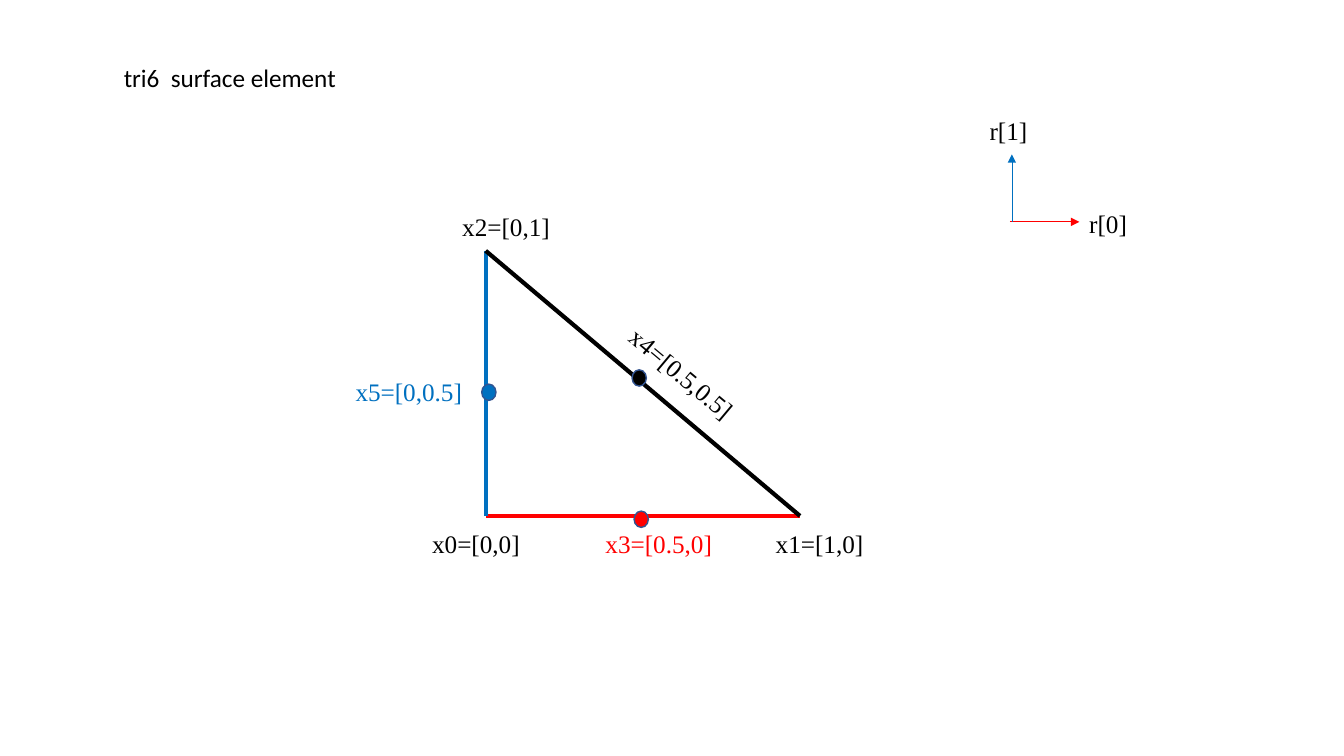
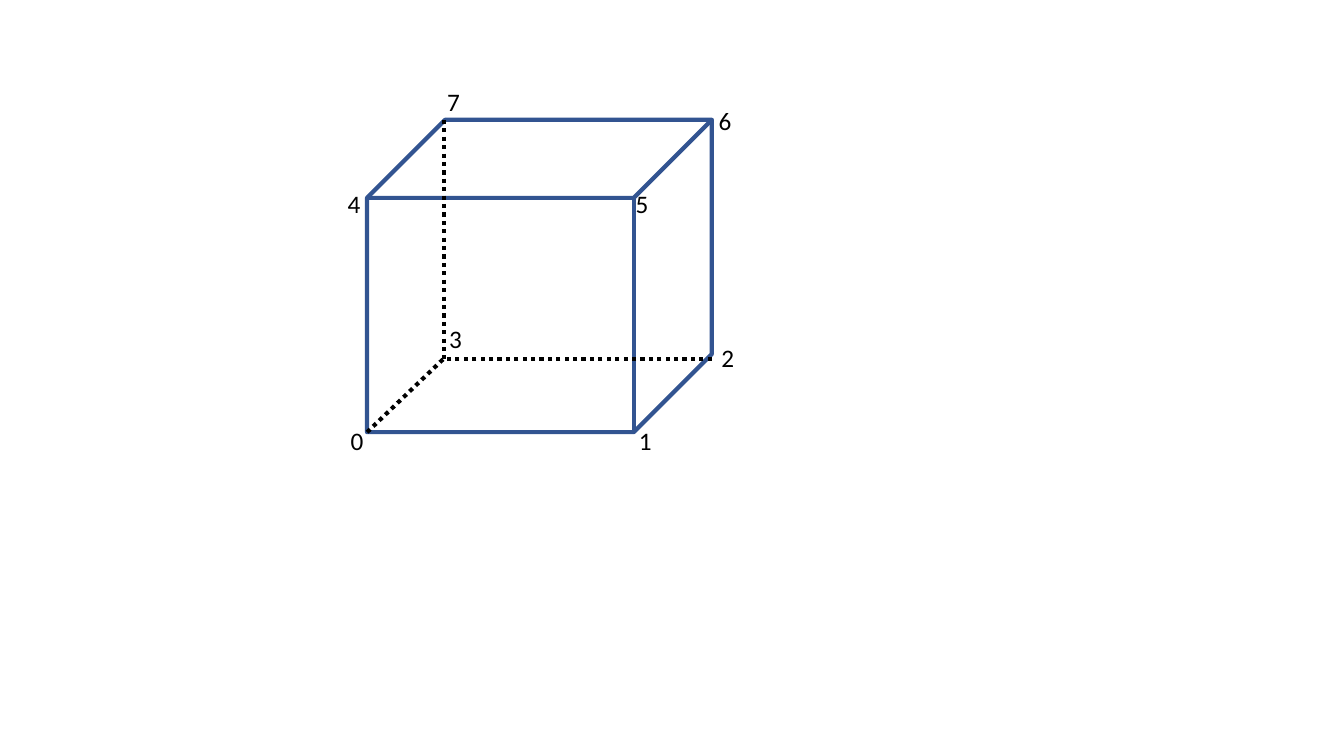
from collections import namedtuple

from lxml.etree import SubElement
from pptx import Presentation
from pptx.dml.color import RGBColor
from pptx.enum.dml import MSO_LINE
from pptx.enum.shapes import MSO_CONNECTOR, MSO_SHAPE
from pptx.enum.text import MSO_AUTO_SIZE
from pptx.oxml.ns import qn
from pptx.util import Cm, Pt

Box = namedtuple("Box", "left top width height")

BLACK, RED, BLUE, OUTLINE = "000000", "FF0000", "0070C0", "325491"
SANS, SERIF = "Calibri", "Times New Roman"
TEXT_HEIGHT = 1.02
DOT_WIDTH, DOT_HEIGHT = 0.36, 0.41
THICK, THIN = 3, 0.5


def colour(value):
    return RGBColor.from_string(value)


def set_format(target, values):
    for name, value in values.items():
        setattr(target, name, value)


def add_label(page, text, left, top, width, font=SERIF, tint=BLACK, rotation=0):
    label = page.shapes.add_textbox(Cm(left), Cm(top), Cm(width), Cm(TEXT_HEIGHT))
    label.rotation = rotation
    frame = label.text_frame
    set_format(frame, {"word_wrap": False, "auto_size": MSO_AUTO_SIZE.SHAPE_TO_FIT_TEXT})
    span = frame.paragraphs[0].add_run()
    span.text = text
    set_format(span.font, {"name": font, "size": Pt(18)})
    span.font.color.rgb = colour(tint)


def add_line(page, start, end, tint, weight=THICK, dash=None, arrow=False):
    points = [Cm(value) for value in (*start, *end)]
    connector = page.shapes.add_connector(MSO_CONNECTOR.STRAIGHT, *points)
    set_format(connector.line, {"width": Pt(weight), "dash_style": dash})
    connector.line.color.rgb = colour(tint)
    if arrow:
        SubElement(connector.line._get_or_add_ln(), qn("a:tailEnd"), type="triangle")
    SubElement(connector._element.spPr, qn("a:effectLst"))


def add_outlined(page, kind, box, weight, fill=None):
    shape = page.shapes.add_shape(kind, *(Cm(value) for value in box))
    shape.shadow.inherit = False
    if fill:
        shape.fill.solid()
        shape.fill.fore_color.rgb = colour(fill)
    else:
        shape.fill.background()
    shape.line.color.rgb = colour(OUTLINE)
    shape.line.width = Pt(weight)


def draw_triangle(page, box):
    left, top, width, height = box
    origin, right, apex = (left, top + height), (left + width, top + height), (left, top)
    for start, end, tint in ((origin, right, RED), (origin, apex, BLUE), (right, apex, BLACK)):
        add_line(page, start, end, tint)

    below = height + 0.18
    corners = (("x0=[0,0]", -1.6, below), ("x1=[1,0]", 7.06, below), ("x2=[0,1]", -0.84, -1.11))
    for text, across, down in corners:
        add_label(page, text, left + across, top + down, 2.74)

    midpoints = (
        ("x3=[0.5,0]", 2.77, below, 3.23, RED, 0, 3.74, 6.56),
        ("x4=[0.5,0.5]", 3.1, 2.6, 3.71, BLACK, 40.1, 3.69, 3),
        ("x5=[0,0.5]", -3.53, 3.05, 3.23, BLUE, 0, -0.1, 3.36),
    )
    for text, across, down, span, tint, rotation, dot_across, dot_down in midpoints:
        add_label(page, text, left + across, top + down, span, tint=tint, rotation=rotation)
        dot = Box(left + dot_across, top + dot_down, DOT_WIDTH, DOT_HEIGHT)
        add_outlined(page, MSO_SHAPE.OVAL, dot, 1, tint)


def draw_axes(page, box):
    left, top, width, height = box
    bottom = top + height
    add_line(page, (left - 0.05, bottom), (left + width, bottom), RED, THIN, arrow=True)
    add_line(page, (left, bottom), (left, top), BLUE, THIN, arrow=True)
    add_label(page, "r[0]", left + width, bottom - 0.46, 1.47)
    add_label(page, "r[1]", left - 0.81, top - 1.12, 1.47)


def draw_cube(page, box):
    left, top, width, height = box
    add_outlined(page, MSO_SHAPE.CUBE, box, THICK)
    hidden = (left + 1.93, top + 6.02)
    ends = ((hidden[0], top), (left, top + height), (left + width, hidden[1]))
    for end in ends:
        add_line(page, end, hidden, BLACK, dash=MSO_LINE.ROUND_DOT)

    vertices = (
        (-0.66, 7.57), (6.6, 7.57), (8.68, 5.49), (1.82, 5.01),
        (-0.74, 1.6), (6.52, 1.6), (8.61, -0.48), (1.77, -0.96),
    )
    for number, (across, down) in enumerate(vertices):
        add_label(page, str(number), left + across, top + down, 0.84, SANS)


def main():
    deck = Presentation()
    set_format(deck, {"slide_width": Cm(33.87), "slide_height": Cm(19.05)})
    triangle_page, cube_page = (deck.slides.add_slide(deck.slide_layouts[6]) for _ in range(2))
    add_label(triangle_page, "tri6  surface element", 2.87, 1.45, 5.92, SANS)
    draw_triangle(triangle_page, Box(12.24, 6.32, 7.92, 6.68))
    draw_axes(triangle_page, Box(25.5, 3.89, 1.7, 1.7))
    draw_cube(cube_page, Box(9.25, 3.02, 8.69, 7.87))
    deck.save("out.pptx")


if __name__ == "__main__":
    main()
